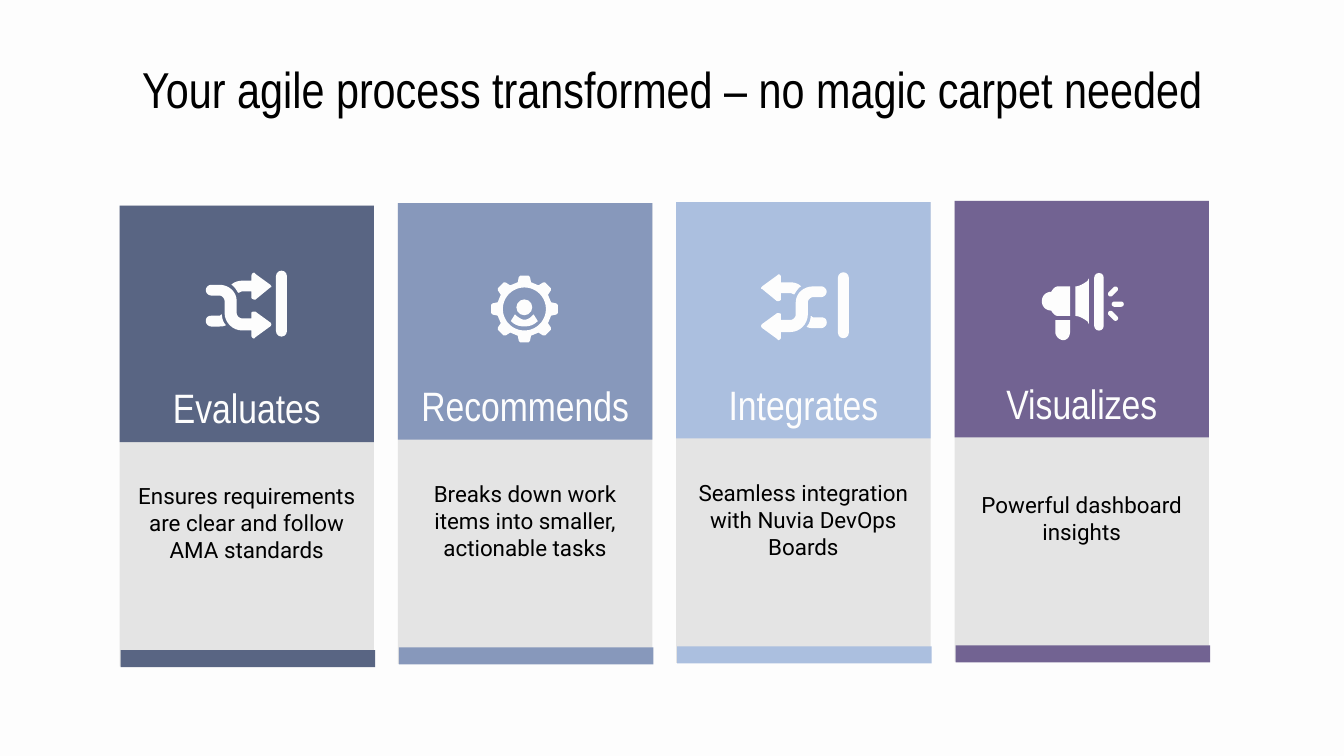
import math

import pptx
import pptx.dml.color
import pptx.enum.shapes
import pptx.enum.text
import pptx.util

Cm = pptx.util.Cm
RGBColor = pptx.dml.color.RGBColor
SHAPE = pptx.enum.shapes.MSO_SHAPE

PAPER = RGBColor(0xFD, 0xFD, 0xFD)
INK = RGBColor(0x00, 0x00, 0x00)
PANEL = RGBColor(0xE4, 0xE4, 0xE4)
NAVY = RGBColor(0x59, 0x65, 0x83)
STEEL = RGBColor(0x87, 0x98, 0xBB)
SKY = RGBColor(0xAB, 0xBF, 0xDF)
PURPLE = RGBColor(0x72, 0x63, 0x92)

UNIT = 0.0254  # icon grid step in cm
CARD_WIDTH = 4.81

# Icon outlines: pairs are corners, sextuples are Bezier curves
SHUFFLE_BAND = [
    (4, 10), (2, 10, 0, 12, 0, 14), (0, 16, 2, 18, 4, 18), (10, 18),
    (12, 18, 14, 20, 14, 22), (14, 31), (14, 38, 20, 44, 27, 44), (34, 44),
    (34, 48), (34, 49, 35, 50, 36, 50), (37, 49), (48, 41),
    (49, 40, 49, 39, 48, 38), (37, 30), (36, 30), (35, 30, 34, 30, 34, 31),
    (34, 35), (27, 35), (25, 35, 23, 33, 23, 31), (23, 22),
    (23, 15, 17, 10, 10, 10)]
SHUFFLE_TAIL = [
    (12, 32), (11, 32, 11, 33, 10, 33), (4, 33), (2, 33, 0, 34, 0, 37),
    (0, 39, 2, 41, 4, 41), (10, 41), (12, 41, 13, 41, 15, 40),
    (13, 38, 12, 35, 12, 32)]
SHUFFLE_ARROW = [
    (36, 1), (35, 1, 34, 2, 34, 3), (34, 7), (27, 7), (24, 7, 21, 8, 19, 10),
    (21, 11, 23, 14, 24, 16), (25, 16, 26, 15, 27, 15), (34, 15), (34, 20),
    (34, 20, 35, 21, 36, 21), (37, 21), (48, 12), (49, 12, 49, 11, 48, 10),
    (37, 2)]
SHOULDERS = [
    (-7, 4), (-8, 6, -9, 7, -10, 9), (-7, 12, -4, 13, 0, 13),
    (4, 13, 7, 12, 10, 9), (9, 7, 8, 6, 7, 4), (5, 6, 3, 8, 0, 8),
    (-2, 8, -5, 6, -7, 4)]
SPEAKER = [
    (12, 10), (10, 10, 8, 12, 7, 14), (3, 14, 0, 17, 0, 21),
    (0, 25, 3, 28, 7, 28), (8, 30, 10, 32, 12, 32), (21, 32), (21, 10)]
HANDLE = [
    (10, 35), (10, 44), (10, 47, 13, 50, 16, 50), (19, 50, 21, 47, 21, 44),
    (21, 35)]
HORN = [
    (35, 4), (34, 6), (31, 8, 28, 10, 25, 10), (25, 32),
    (28, 32, 31, 34, 34, 36), (35, 38)]


def flatten(outline, steps=8):
    points = [outline[0]]
    for part in outline[1:]:
        if len(part) == 2:
            points.append(part)
            continue
        curve = [points[-1], part[:2], part[2:4], part[4:]]
        for step in range(1, steps + 1):
            t = step / steps
            weights = [math.comb(3, k) * t**k * (1 - t)**(3 - k) for k in range(4)]
            points.append(tuple(sum(w * p[axis] for w, p in zip(weights, curve))
                                for axis in (0, 1)))
    return points


def polar(radius, degrees):
    angle = math.radians(degrees)
    return radius * math.cos(angle), radius * math.sin(angle)


class Deck:
    heading_font = "Arial Narrow"
    body_font = "Roboto"

    def __init__(self):
        self.file = pptx.Presentation()
        self.file.slide_width, self.file.slide_height = Cm(25.4), Cm(14.29)
        self.slide = self.file.slides.add_slide(self.file.slide_layouts[6])
        self.slide.background.fill.solid()
        self.slide.background.fill.fore_color.rgb = PAPER

    def paint(self, shape, color):
        shape.shadow.inherit = False
        shape.fill.solid()
        shape.fill.fore_color.rgb = color
        shape.line.fill.background()
        return shape

    def block(self, left, top, width, height, color, kind=SHAPE.RECTANGLE):
        shape = self.slide.shapes.add_shape(
            kind, Cm(left), Cm(top), Cm(width), Cm(height))
        return self.paint(shape, color)

    def capsule(self, left, top, width, height, rotation=0, edge=False):
        bar = self.block(left, top, width, height, PAPER, SHAPE.ROUNDED_RECTANGLE)
        bar.adjustments[0] = 0.5
        bar.rotation = rotation
        if edge:
            bar.line.color.rgb = PAPER
            bar.line.width = pptx.util.Pt(0.75)

    def outline(self, left, top, *contours):
        placed = [[(Cm(left + x * UNIT), Cm(top + y * UNIT)) for x, y in contour]
                  for contour in contours]
        builder = self.slide.shapes.build_freeform(*placed[0][0], scale=1.0)
        builder.add_line_segments(placed[0][1:], close=True)
        for contour in placed[1:]:
            builder.move_to(*contour[0])
            builder.add_line_segments(contour[1:], close=True)
        self.paint(builder.convert_to_shape(), PAPER)

    def text(self, left, top, width, height, words, size, font, color, after=0):
        frame = self.slide.shapes.add_textbox(
            Cm(left), Cm(top), Cm(width), Cm(height)).text_frame
        frame.word_wrap = True
        frame.vertical_anchor = pptx.enum.text.MSO_ANCHOR.MIDDLE
        frame.margin_left = frame.margin_right = Cm(0.25)
        frame.margin_top = frame.margin_bottom = Cm(0.25)
        paragraph = frame.paragraphs[0]
        paragraph.alignment = pptx.enum.text.PP_ALIGN.CENTER
        paragraph.space_after = pptx.util.Pt(after)
        run = paragraph.add_run()
        run.text = words
        run.font.size = pptx.util.Pt(size)
        run.font.name = font
        run.font.color.rgb = color

    def card(self, left, top, color, heading, detail):
        self.block(left, top, CARD_WIDTH, 8.71, PANEL)
        self.block(left, top, CARD_WIDTH, 4.47, color)
        self.block(left + 0.02, top + 8.4, CARD_WIDTH, 0.32, color)
        self.text(left, top + 5.07, CARD_WIDTH, 1.85, detail, 12,
                  self.body_font, INK)
        self.text(left, top + 3.29, CARD_WIDTH, 1.04, heading, 22,
                  self.heading_font, PAPER, after=2)

    def shuffle_icon(self, left, top, bar_left, mirrored=False):
        for part in (SHUFFLE_BAND, SHUFFLE_TAIL, SHUFFLE_ARROW):
            points = flatten(part)
            if mirrored:
                points = [(49 - x, y) for x, y in points]
            self.outline(left, top, points)
        self.capsule(bar_left, top, 0.18, 1.22, edge=True)

    def gear_icon(self, center_x, center_y):
        tooth = [(20.5, -14), (24, -10), (25, -7), (25, 7), (24, 10), (20.5, 14)]
        rim = [polar(radius, turn + offset)
               for turn in range(0, 360, 45) for radius, offset in tooth]
        hole = [polar(16, turn) for turn in range(0, 360, 6)]
        self.outline(center_x, center_y, rim, hole)
        self.block(center_x - 0.15, center_y - 0.18, 0.3, 0.3, PAPER, SHAPE.OVAL)
        self.outline(center_x, center_y, flatten(SHOULDERS))

    def megaphone_icon(self, left, top):
        for part in (SPEAKER, HANDLE, HORN):
            self.outline(left, top, flatten(part))
        self.capsule(left + 0.99, top, 0.18, 1.09)
        for x, y, rotation in ((1.23, 0.3, -45), (1.32, 0.54, 0), (1.23, 0.76, 45)):
            self.capsule(left + x, top + y, 0.23, 0.1, rotation)


def main():
    deck = Deck()

    # Title
    deck.text(1.4, 1.32, 22.61, 0.69,
              "Your agile process transformed – no magic carpet needed",
              27, deck.heading_font, INK)

    # Benefit cards
    benefits = [
        (3.89, NAVY, "Evaluates",
         "Ensures requirements are clear and follow AMA standards"),
        (3.84, STEEL, "Recommends",
         "Breaks down work items into smaller, actionable tasks"),
        (3.82, SKY, "Integrates",
         "Seamless integration with Nuvia DevOps Boards"),
        (3.8, PURPLE, "Visualizes", "Powerful dashboard insights")]
    for column, (top, color, heading, detail) in enumerate(benefits):
        deck.card(2.26 + 5.26 * column, top, color, heading, detail)

    # Icons
    deck.shuffle_icon(3.89, 5.13, 5.23)
    deck.gear_icon(9.91, 5.84)
    deck.shuffle_icon(14.38, 5.16, 15.85, mirrored=True)
    deck.megaphone_icon(19.69, 5.16)

    deck.file.save("out.pptx")


if __name__ == "__main__":
    main()
